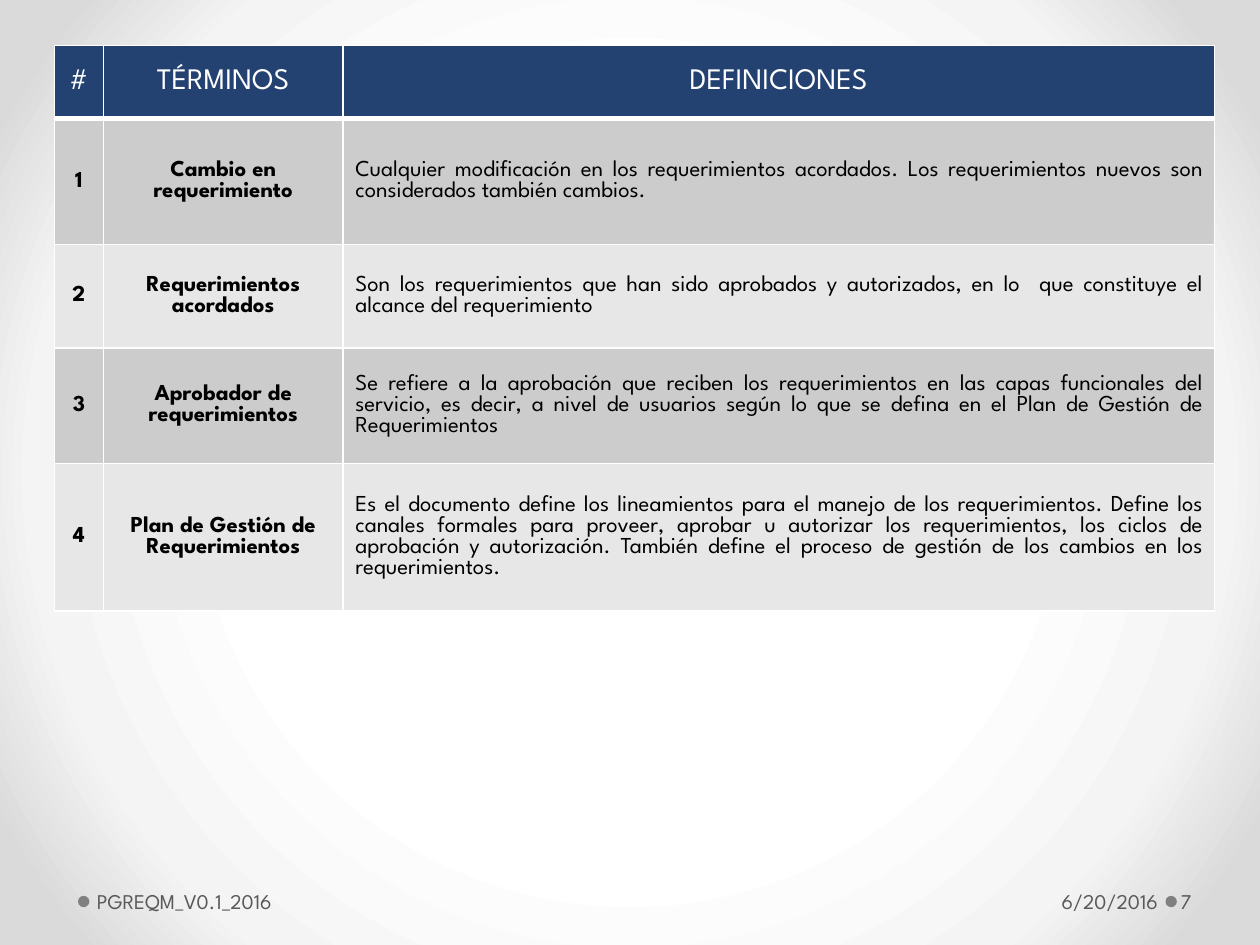
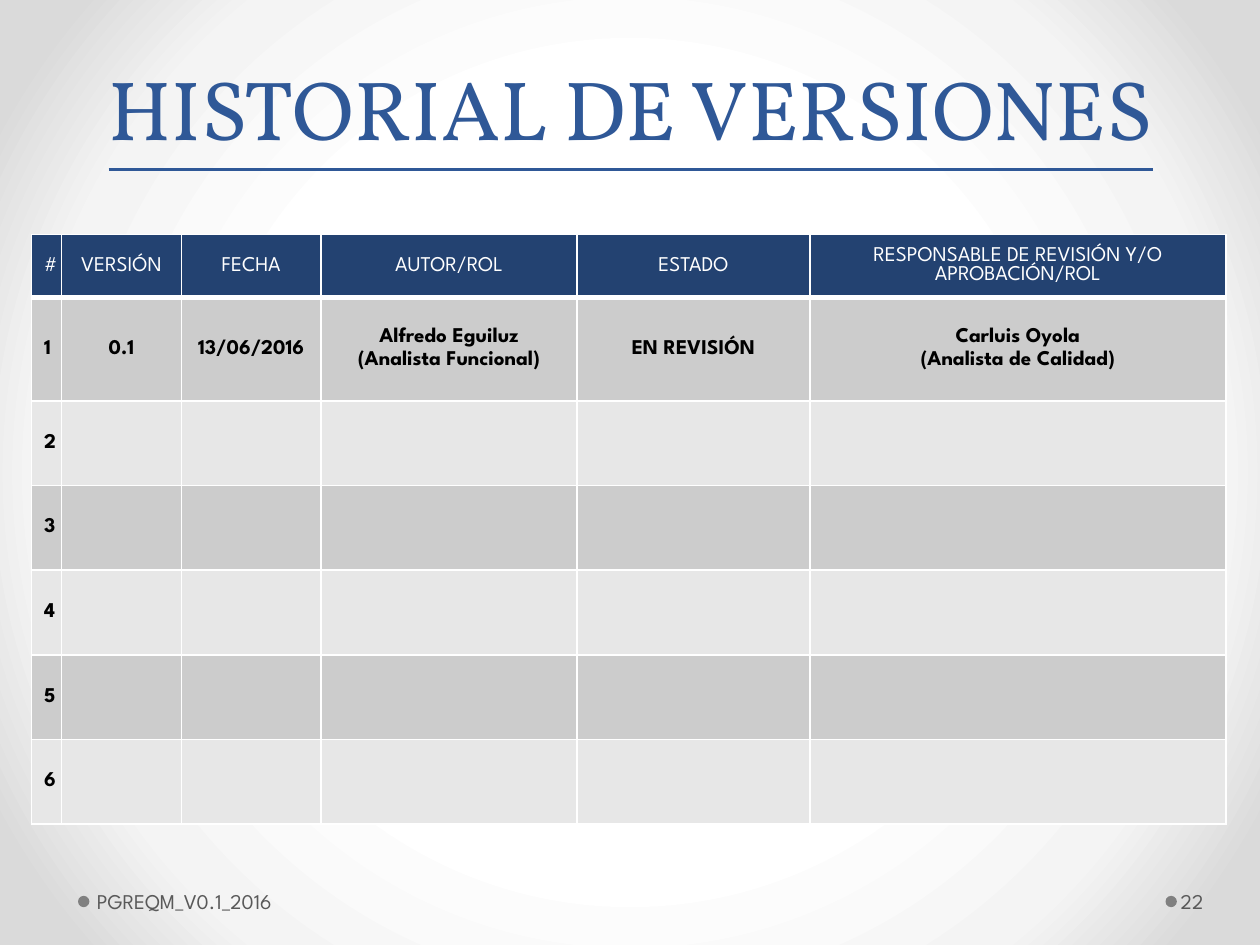
from dataclasses import dataclass
from typing import Optional

import lxml.etree
import pptx
import pptx.dml.color
import pptx.enum.shapes
import pptx.enum.text
import pptx.oxml
import pptx.oxml.ns
import pptx.presentation
import pptx.slide
import pptx.table
import pptx.util

Pt = pptx.util.Pt
Align = pptx.enum.text.PP_ALIGN
Anchor = pptx.enum.text.MSO_ANCHOR
DRAWING_NS = "http://schemas.openxmlformats.org/drawingml/2006/main"
SLIDE_NS = "http://schemas.openxmlformats.org/presentationml/2006/main"


@dataclass(frozen=True)
class Theme:
    """Fonts, colours and type sizes of both slides."""
    body_font: str = "League Spartan"
    title_font: str = "Vollkorn"
    title: str = "2F5897"
    header: str = "234271"
    bands: tuple[str, str] = ("CCCCCC", "E7E7E7")
    white: str = "FFFFFF"
    black: str = "000000"
    footer: str = "595959"
    bullet: str = "808080"
    backdrop: tuple[tuple[int, str], ...] = ((50, "FFFFFF"), (76, "F4F4F4"), (92, "DADADA"))
    title_size: float = 48
    title_leading: float = 58
    footer_size: float = 12


THEME = Theme()


@dataclass(frozen=True)
class Box:
    """A place on the slide, in points."""
    left: float
    top: float
    width: float
    height: float

    def lengths(self) -> tuple[pptx.util.Length, ...]:
        """Return the four measures as lengths."""
        return Pt(self.left), Pt(self.top), Pt(self.width), Pt(self.height)


@dataclass(frozen=True)
class TextStyle:
    """Look of a paragraph."""
    font: str
    size: float
    color: str
    align: Align = Align.LEFT
    bold: bool = False
    underline: bool = False
    space_before: float = 0
    leading: Optional[float] = None


@dataclass(frozen=True)
class Grid:
    """A table: its place, measures in points, type sizes and rows of text."""
    left: float
    top: float
    columns: tuple[float, ...]
    heights: tuple[float, ...]
    header_size: float
    body_size: float
    rows: tuple[tuple[str, ...], ...]
    justified_column: Optional[int] = None


def rgb(value: str) -> pptx.dml.color.RGBColor:
    """Turn a hex string into a colour."""
    return pptx.dml.color.RGBColor.from_string(value)


def write(frame, text: str, style: TextStyle) -> None:
    """Write one paragraph for each line of text."""
    for index, line in enumerate(text.split("\n")):
        paragraph = frame.paragraphs[0] if index == 0 else frame.add_paragraph()
        paragraph.text = line
        paragraph.alignment = style.align
        paragraph.space_before = Pt(style.space_before)
        if style.leading:
            paragraph.line_spacing = Pt(style.leading)
        font = paragraph.font
        font.name, font.size = style.font, Pt(style.size)
        font.bold, font.underline = style.bold, style.underline
        font.color.rgb = rgb(style.color)


def add_text(slide: pptx.slide.Slide, box: Box, text: str, style: TextStyle,
             anchor: Anchor = Anchor.MIDDLE, left_inset: float = 7.2,
             right_inset: float = 7.2) -> None:
    """Add a wrapping text box."""
    frame = slide.shapes.add_textbox(*box.lengths()).text_frame
    frame.word_wrap = True
    frame.vertical_anchor = anchor
    frame.margin_left, frame.margin_right = Pt(left_inset), Pt(right_inset)
    write(frame, text, style)


def paint_background(slide: pptx.slide.Slide) -> None:
    """Give the slide its circular grey gradient."""
    stops = "".join(f'<a:gs pos="{position * 1000}"><a:srgbClr val="{color}"/></a:gs>'
                    for position, color in THEME.backdrop)
    background = pptx.oxml.parse_xml(
        f'<p:bg xmlns:p="{SLIDE_NS}" xmlns:a="{DRAWING_NS}"><p:bgPr>'
        f'<a:gradFill rotWithShape="1"><a:gsLst>{stops}</a:gsLst><a:path path="circle">'
        '<a:fillToRect l="50000" t="50000" r="50000" b="50000"/></a:path></a:gradFill>'
        '<a:effectLst/></p:bgPr></p:bg>')
    slide.element.cSld.insert(0, background)


def add_footer(slide: pptx.slide.Slide, number: str, date: str = "") -> None:
    """Add the two dots, the document code, the page number and any date."""
    for left in (44.6, 666):
        dot = slide.shapes.add_shape(pptx.enum.shapes.MSO_SHAPE.OVAL,
                                     *Box(left, 511.9, 6.5, 6.5).lengths())
        dot.shadow.inherit = False
        dot.fill.solid()
        dot.fill.fore_color.rgb = rgb(THEME.bullet)
        dot.line.fill.background()
    style = TextStyle(THEME.body_font, THEME.footer_size, THEME.footer)
    top, height = 500.4, 28.8
    add_text(slide, Box(672.5, top, 43.9, height), number, style,
             left_inset=2.2, right_inset=3.6)
    add_text(slide, Box(51.8, top, 285.1, height), "PGREQM_V0.1_2016", style, left_inset=3.6)
    if date:
        date_style = TextStyle(THEME.body_font, THEME.footer_size, THEME.footer, Align.RIGHT)
        add_text(slide, Box(501.1, top, 164.2, height), date, date_style, right_inset=3.6)


def border_cell(cell: pptx.table._Cell, bottom: float) -> None:
    """Draw white cell borders; call before the cell is filled."""
    properties = cell._tc.get_or_add_tcPr()
    for side, width in (("lnL", 1), ("lnR", 1), ("lnT", 1), ("lnB", bottom)):
        line = lxml.etree.SubElement(properties, pptx.oxml.ns.qn(f"a:{side}"), w=str(Pt(width)))
        fill = lxml.etree.SubElement(line, pptx.oxml.ns.qn("a:solidFill"))
        lxml.etree.SubElement(fill, pptx.oxml.ns.qn("a:srgbClr"), val=THEME.white)


def add_grid(slide: pptx.slide.Slide, grid: Grid) -> None:
    """Add a table with a dark header and two alternating row colours."""
    box = Box(grid.left, grid.top, sum(grid.columns), sum(grid.heights))
    table = slide.shapes.add_table(len(grid.rows), len(grid.columns), *box.lengths()).table
    table.first_row = table.horz_banding = False
    for column, width in zip(table.columns, grid.columns):
        column.width = Pt(width)
    for row, height in zip(table.rows, grid.heights):
        row.height = Pt(height)

    header = TextStyle(THEME.body_font, grid.header_size, THEME.white, Align.CENTER)
    term = TextStyle(THEME.body_font, grid.body_size, THEME.black, Align.CENTER,
                     bold=True, space_before=0.2 * grid.body_size)
    definition = TextStyle(THEME.body_font, grid.body_size, THEME.black, Align.JUSTIFY,
                           space_before=0.2 * grid.body_size)
    for row_index, texts in enumerate(grid.rows):
        is_header = row_index == 0
        for column_index, text in enumerate(texts):
            cell = table.cell(row_index, column_index)
            border_cell(cell, bottom=3 if is_header else 1)
            cell.fill.solid()
            cell.fill.fore_color.rgb = rgb(
                THEME.header if is_header else THEME.bands[(row_index - 1) % 2])
            cell.vertical_anchor = Anchor.MIDDLE
            if is_header:
                style = header
            else:
                style = definition if column_index == grid.justified_column else term
            write(cell.text_frame, text, style)


def new_slide(deck: pptx.presentation.Presentation) -> pptx.slide.Slide:
    """Add a blank slide with the shared background."""
    slide = deck.slides.add_slide(deck.slide_layouts[6])
    paint_background(slide)
    return slide


GLOSSARY = Grid(
    left=31, top=26, columns=(28.1, 136.8, 498.2), heights=(41.8, 72, 59, 66.2, 84.2),
    header_size=17, body_size=13, justified_column=2,
    rows=(
        ("#", "TÉRMINOS", "DEFINICIONES"),
        ("1", "Cambio en requerimiento",
         "Cualquier modificación en los requerimientos acordados. Los requerimientos nuevos "
         "son considerados también cambios. "),
        ("2", "Requerimientos acordados",
         "Son los requerimientos que han sido aprobados y autorizados, en lo  que constituye "
         "el alcance del requerimiento"),
        ("3", "Aprobador de requerimientos",
         "Se refiere a la aprobación que reciben los requerimientos en las capas funcionales "
         "del servicio, es decir, a nivel de usuarios según lo que se defina en el Plan de "
         "Gestión de Requerimientos"),
        ("4", "Plan de Gestión de Requerimientos",
         "Es el documento define los lineamientos para el manejo de los requerimientos. "
         "Define los canales formales para proveer, aprobar u autorizar los requerimientos, "
         "los ciclos de aprobación y autorización. También define el proceso de gestión de "
         "los cambios en los requerimientos."),
    ))

VERSIONS = Grid(
    left=18, top=134, columns=(16.9, 68.4, 79.9, 146.2, 133.2, 237.6),
    heights=(34.2, 59) + (48.4,) * 5, header_size=12, body_size=12,
    rows=(
        ("#", "VERSIÓN", "FECHA", "AUTOR/ROL", "ESTADO",
         "RESPONSABLE DE REVISIÓN Y/O APROBACIÓN/ROL"),
        ("1", "0.1", "13/06/2016", "Alfredo Eguiluz\n(Analista Funcional)", "EN REVISIÓN",
         "Carluis Oyola\n(Analista de Calidad)"),
        *((str(number),) + ("",) * 5 for number in range(2, 7)),
    ))


def main() -> None:
    """Build the glossary and version history slides."""
    deck = pptx.Presentation()
    deck.slide_width, deck.slide_height = Pt(720), Pt(540)

    glossary = new_slide(deck)
    add_grid(glossary, GLOSSARY)
    add_footer(glossary, "7", "6/20/2016")

    history = new_slide(deck)
    add_grid(history, VERSIONS)
    add_footer(history, "22")
    title_style = TextStyle(THEME.title_font, THEME.title_size, THEME.title, Align.CENTER,
                            underline=True, leading=THEME.title_leading)
    add_text(history, Box(20.2, 13.7, 680.4, 79.9), "HISTORIAL DE VERSIONES", title_style,
             Anchor.BOTTOM)

    deck.save("out.pptx")


main()
